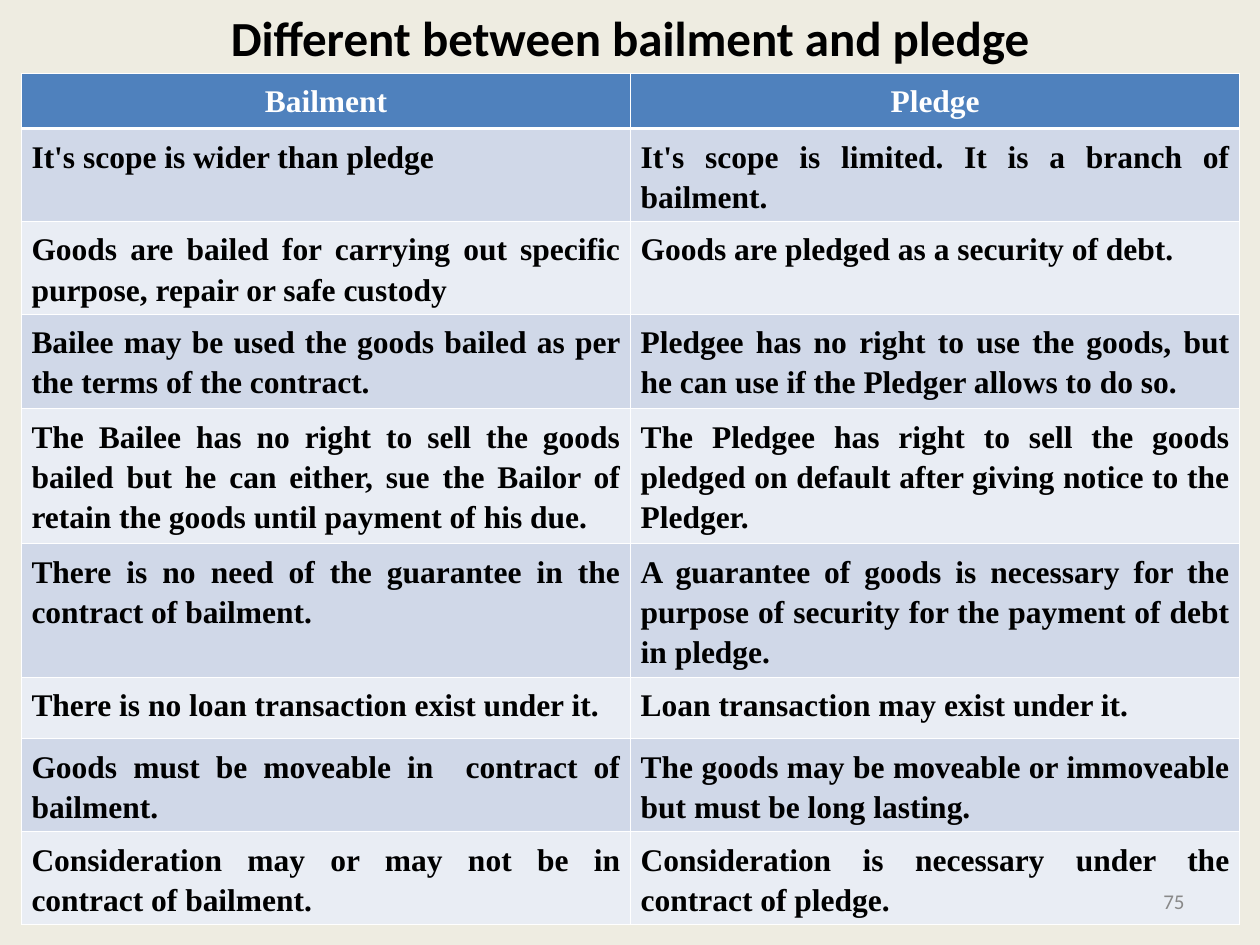
import pptx
import pptx.util
import pptx.dml.color
import pptx.enum.text
import pptx.oxml
import pptx.oxml.ns

ALIGN = pptx.enum.text.PP_ALIGN
MIDDLE = pptx.enum.text.MSO_ANCHOR.MIDDLE
COLOURS = {
    "background": "EEECE1", "header": "4F81BD", "odd": "D0D8E8", "even": "E9EDF4",
    "border": "FFFFFF", "header text": "FFFFFF", "text": "000000", "number": "898989",
}
THIN, THICK = 0.45, 1.47
ROW_HEIGHTS = [0.44, 0.72, 0.72, 0.75, 1.07, 1.06, 0.49, 0.72, 0.72]
COMPARISON = [
    ("Bailment", "Pledge"),
    ("It's scope is wider than pledge",
     "It's scope is limited. It is a branch of bailment."),
    ("Goods are bailed for carrying out specific purpose, repair or safe custody",
     "Goods are pledged as a security of debt."),
    ("Bailee may be used the goods bailed as per the terms of the contract.",
     "Pledgee has no right to use the goods, but he can use if the Pledger allows to do so."),
    ("The Bailee has no right to sell the goods bailed but he can either, sue the Bailor "
     "of retain the goods until payment of his due.",
     "The Pledgee has right to sell the goods pledged on default after giving notice "
     "to the Pledger."),
    ("There is no need of the guarantee in the contract of bailment.",
     "A guarantee of goods is necessary for the purpose of security for the payment "
     "of debt in pledge."),
    ("There is no loan transaction exist under it.", "Loan transaction may exist under it."),
    ("Goods must be moveable in  contract of bailment.",
     "The goods may be moveable or immoveable but must be long lasting. "),
    ("Consideration may or may not be in contract of bailment.",
     "Consideration is necessary under the contract of pledge. "),
]


def colour(name):
    return pptx.dml.color.RGBColor.from_string(COLOURS[name])


def style(target, values):
    for name, value in values.items():
        setattr(target, name, value)


class SlideBuilder:
    """Holds the deck, the current slide and the text styles."""

    title_font = {"name": "Calibri", "size": pptx.util.Pt(28), "bold": True}
    cell_font = {"name": "Times New Roman", "size": pptx.util.Pt(18), "bold": True}
    number_font = {"name": "Calibri", "size": pptx.util.Pt(12), "bold": False}
    cell_paragraph = {"line_spacing": 1.15, "space_after": pptx.util.Pt(6)}
    cell_margins = {
        "margin_left": pptx.util.Inches(0.08), "margin_right": pptx.util.Inches(0.08),
        "margin_top": pptx.util.Inches(0.05), "margin_bottom": pptx.util.Inches(0.05),
    }

    def __init__(self, deck):
        self.deck = deck
        self.slide = deck.slides.add_slide(deck.slide_layouts[5])
        fill = self.slide.background.fill
        fill.solid()
        fill.fore_color.rgb = colour("background")

    def area(self, left, top, width, height):
        """Turn shares of the slide's size into lengths."""
        across, down = self.deck.slide_width, self.deck.slide_height
        return {"left": int(left * across), "top": int(top * down),
                "width": int(width * across), "height": int(height * down)}

    def add_text(self, frame, text, font, colour_name, paragraph):
        para = frame.paragraphs[0]
        style(para, paragraph)
        span = para.add_run()
        span.text = text
        style(span.font, font)
        span.font.color.rgb = colour(colour_name)

    def title(self, text, *shares):
        box = self.slide.shapes.title
        style(box, self.area(*shares))
        style(box.text_frame, {"vertical_anchor": MIDDLE, "word_wrap": True,
                               "auto_size": pptx.enum.text.MSO_AUTO_SIZE.NONE})
        self.add_text(box.text_frame, text, self.title_font, "text",
                      {"alignment": ALIGN.CENTER})

    def number(self, text, *shares):
        box = self.slide.shapes.add_textbox(**self.area(*shares))
        style(box.text_frame, {"vertical_anchor": MIDDLE, "word_wrap": True})
        self.add_text(box.text_frame, text, self.number_font, "number",
                      {"alignment": ALIGN.RIGHT})

    def borders(self, cell, widths):
        """Draw the left, right, top and bottom edges, ahead of the cell's fill."""
        properties = cell._tc.get_or_add_tcPr()
        for place, (side, width) in enumerate(widths.items()):
            line = pptx.oxml.parse_xml(
                f'<a:ln{side} {pptx.oxml.ns.nsdecls("a")} w="{int(pptx.util.Pt(width))}">'
                f'<a:solidFill><a:srgbClr val="{COLOURS["border"]}"/></a:solidFill></a:ln{side}>')
            properties.insert(place, line)

    def table(self, rows, heights, *shares):
        """Add a table with a header row and banded body rows."""
        table = self.slide.shapes.add_table(
            len(rows), len(rows[0]), **self.area(*shares)).table
        for index, (texts, height) in enumerate(zip(rows, heights)):
            table.rows[index].height = pptx.util.Inches(height)
            header = index == 0
            band = "header" if header else "odd" if index % 2 else "even"
            edges = {"L": THIN, "R": THIN, "T": THICK if index == 1 else THIN,
                     "B": THICK if header else THIN}
            for column, text in enumerate(texts):
                cell = table.cell(index, column)
                style(cell, self.cell_margins)
                cell.fill.solid()
                cell.fill.fore_color.rgb = colour(band)
                self.borders(cell, edges)
                alignment = ALIGN.CENTER if header else ALIGN.JUSTIFY
                self.add_text(cell.text_frame, text, self.cell_font,
                              "header text" if header else "text",
                              {**self.cell_paragraph, "alignment": alignment})


def main():
    deck = pptx.Presentation()
    deck.slide_width, deck.slide_height = pptx.util.Inches(10), pptx.util.Inches(7.5)
    builder = SlideBuilder(deck)
    builder.title("Different between bailment and pledge", 0.05, 0, 0.9, 0.58 / 7.5)
    builder.table(COMPARISON, ROW_HEIGHTS, 0.17 / 10, 0.58 / 7.5, 9.67 / 10,
                  sum(ROW_HEIGHTS) / 7.5)
    builder.number("75", 7.17 / 10, 6.95 / 7.5, 2.33 / 10, 0.4 / 7.5)
    deck.save("out.pptx")


if __name__ == "__main__":
    main()
